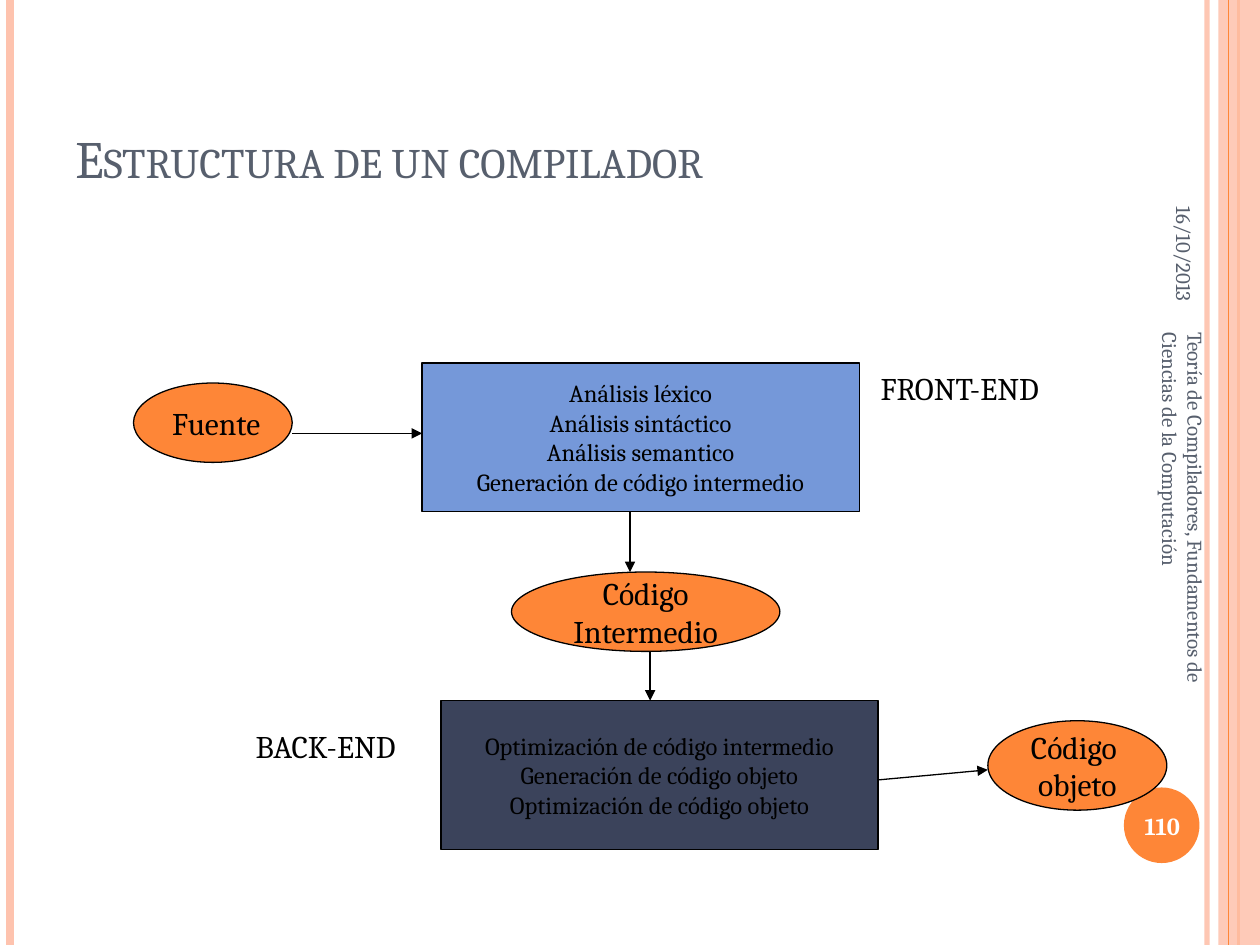
"""Build a slide that shows the structure of a compiler."""
from dataclasses import dataclass

from lxml.etree import SubElement
from pptx import Presentation
from pptx.dml.color import RGBColor
from pptx.enum.shapes import MSO_CONNECTOR, MSO_SHAPE as Shape
from pptx.enum.text import MSO_ANCHOR as Anchor, PP_ALIGN as Align
from pptx.oxml.ns import qn
from pptx.util import Inches, Pt


@dataclass(frozen=True)
class Theme:
    font: str = "Cambria"
    ink: str = "000000"
    white: str = "FFFFFF"
    slate: str = "575F6D"
    orange: str = "FE8637"
    peach: str = "FEC3AE"
    blue: str = "7598D9"
    navy: str = "3B435B"
    title: int = 30
    label: int = 18
    body: int = 14
    footer: int = 12
    outline: float = 0.75


@dataclass(frozen=True)
class Box:
    left: float
    top: float
    width: float
    height: float

    def inches(self) -> list:
        return [Inches(v) for v in (self.left, self.top, self.width, self.height)]


@dataclass(frozen=True)
class Node:
    kind: Shape
    box: Box
    fill: str
    size: int
    lines: tuple[str, ...]


@dataclass(frozen=True)
class Line:
    start: tuple[float, float]
    end: tuple[float, float]
    color: str
    width: float
    opacity: int = 100
    arrow: bool = False


@dataclass(frozen=True)
class Label:
    box: Box
    text: str
    style: dict


T = Theme()
HEIGHT = 7.5
STAGE = (3.47, 1.18)


def rule(x: float, color: str, width: float, opacity: int = 100) -> Line:
    return Line((x, 0), (x, HEIGHT), color, width, opacity)


def arrow(start: tuple[float, float], end: tuple[float, float]) -> Line:
    return Line(start, end, T.ink, T.outline, arrow=True)


RULES = [
    rule(9.58, T.peach, 3, 93),
    rule(0.08, T.peach, 4.5),
    rule(9.83, T.orange, 1.5),
]
BAND = Box(9.67, 0, 0.33, HEIGHT)
BAND_EDGE = rule(9.75, T.orange, 0.75)
BADGE = Box(8.92, 6.25, 0.6, 0.6)

NODES = [
    Node(Shape.RECTANGLE, Box(3.35, 2.88, *STAGE), T.blue, T.body,
         ("Análisis léxico", "Análisis sintáctico", "Análisis semantico",
          "Generación de código intermedio")),
    Node(Shape.OVAL, Box(1.06, 3.04, 1.26, 0.63), T.orange, T.label, (" Fuente",)),
    Node(Shape.RECTANGLE, Box(3.5, 5.56, *STAGE), T.navy, T.body,
         ("Optimización de código intermedio", "Generación de código objeto",
          "Optimización de código objeto")),
    Node(Shape.OVAL, Box(4.06, 4.54, 2.13, 0.63), T.orange, T.label,
         ("Código", "Intermedio")),
    Node(Shape.OVAL, Box(7.84, 5.72, 1.42, 0.71), T.orange, T.label,
         ("Código ", "objeto")),
]
ARROWS = [
    arrow((2.32, 3.44), (3.35, 3.44)),
    arrow((5, 4.06), (5, 4.54)),
    arrow((5.16, 5.17), (5.16, 5.56)),
    arrow((6.97, 6.19), (7.84, 6.11)),
]
SIDE = dict(size=T.footer, color=T.slate, anchor=Anchor.MIDDLE)
LABELS = [
    Label(Box(0.5, 0.3, 8.17, 1.25), "Estructura de un compilador",
          dict(size=T.title, color=T.slate, anchor=Anchor.BOTTOM, small_caps=True)),
    Label(Box(1.93, 5.72, 1.5, 0.4), "BACK-END", {}),
    Label(Box(6.89, 2.88, 1.89, 0.4), "FRONT-END", {}),
    Label(Box(8.89, 6.27, 0.67, 0.57), "110",
          dict(size=T.body, color=T.white, bold=True, align=Align.CENTER,
               anchor=Anchor.MIDDLE)),
]
SIDE_LABELS = [
    Label(Box(7.64, 4.09, 3.5, 0.4),
          "Teoría de Compiladores, Fundamentos de Ciencias de la Computación", SIDE),
    Label(Box(8.3, 1.18, 2.2, 0.42), "16/10/2013", SIDE | dict(align=Align.RIGHT)),
]


def write(sp, *lines: str, size: int = T.label, color: str = T.ink,
          bold: bool = False, small_caps: bool = False, align: Align = Align.LEFT,
          anchor: Anchor = Anchor.TOP, wrap: bool = True) -> None:
    tf = sp.text_frame
    tf.word_wrap, tf.vertical_anchor = wrap, anchor
    for i, line in enumerate(lines):
        p = tf.add_paragraph() if i else tf.paragraphs[0]
        p.alignment = align
        r = p.add_run()
        r.text = line
        r.font.name, r.font.size, r.font.bold = T.font, Pt(size), bold
        r.font.color.rgb = RGBColor.from_string(color)
        if small_caps:
            r.font._element.set("cap", "small")


def set_opacity(sp, percent: int) -> None:
    color = next(sp._element.spPr.iter(qn("a:srgbClr")))
    SubElement(color, qn("a:alpha")).set("val", str(percent * 1000))


def draw_shape(s, kind: Shape, box: Box, fill: str, outline: str | None = None):
    sp = s.shapes.add_shape(kind, *box.inches())
    sp.shadow.inherit = False
    sp.fill.solid()
    sp.fill.fore_color.rgb = RGBColor.from_string(fill)
    if outline:
        sp.line.color.rgb = RGBColor.from_string(outline)
        sp.line.width = Pt(T.outline)
    else:
        sp.line.fill.background()
    return sp


def draw_node(s, node: Node) -> None:
    sp = draw_shape(s, node.kind, node.box, node.fill, T.ink)
    write(sp, *node.lines, size=node.size, align=Align.CENTER,
          anchor=Anchor.MIDDLE, wrap=False)


def draw_line(s, line: Line) -> None:
    ends = [Inches(v) for v in (*line.start, *line.end)]
    sp = s.shapes.add_connector(MSO_CONNECTOR.STRAIGHT, *ends)
    sp.line.color.rgb = RGBColor.from_string(line.color)
    sp.line.width = Pt(line.width)
    if line.opacity < 100:
        set_opacity(sp, line.opacity)
    if line.arrow:
        SubElement(sp.line._get_or_add_ln(), qn("a:tailEnd")).set("type", "triangle")
    SubElement(sp._element.spPr, qn("a:effectLst"))


def draw_label(s, label: Label, rotation: int = 0) -> None:
    sp = s.shapes.add_textbox(*label.box.inches())
    sp.rotation = rotation
    write(sp, label.text, **label.style)


def main() -> None:
    prs = Presentation()
    prs.slide_width, prs.slide_height = Inches(10), Inches(HEIGHT)
    s = prs.slides.add_slide(prs.slide_layouts[6])
    for line in RULES:
        draw_line(s, line)
    set_opacity(draw_shape(s, Shape.RECTANGLE, BAND, T.peach), 87)
    draw_line(s, BAND_EDGE)
    draw_shape(s, Shape.OVAL, BADGE, T.orange)
    for node in NODES:
        draw_node(s, node)
    for line in ARROWS:
        draw_line(s, line)
    for label in LABELS:
        draw_label(s, label)
    for label in SIDE_LABELS:
        draw_label(s, label, rotation=90)
    prs.save("out.pptx")


if __name__ == "__main__":
    main()
